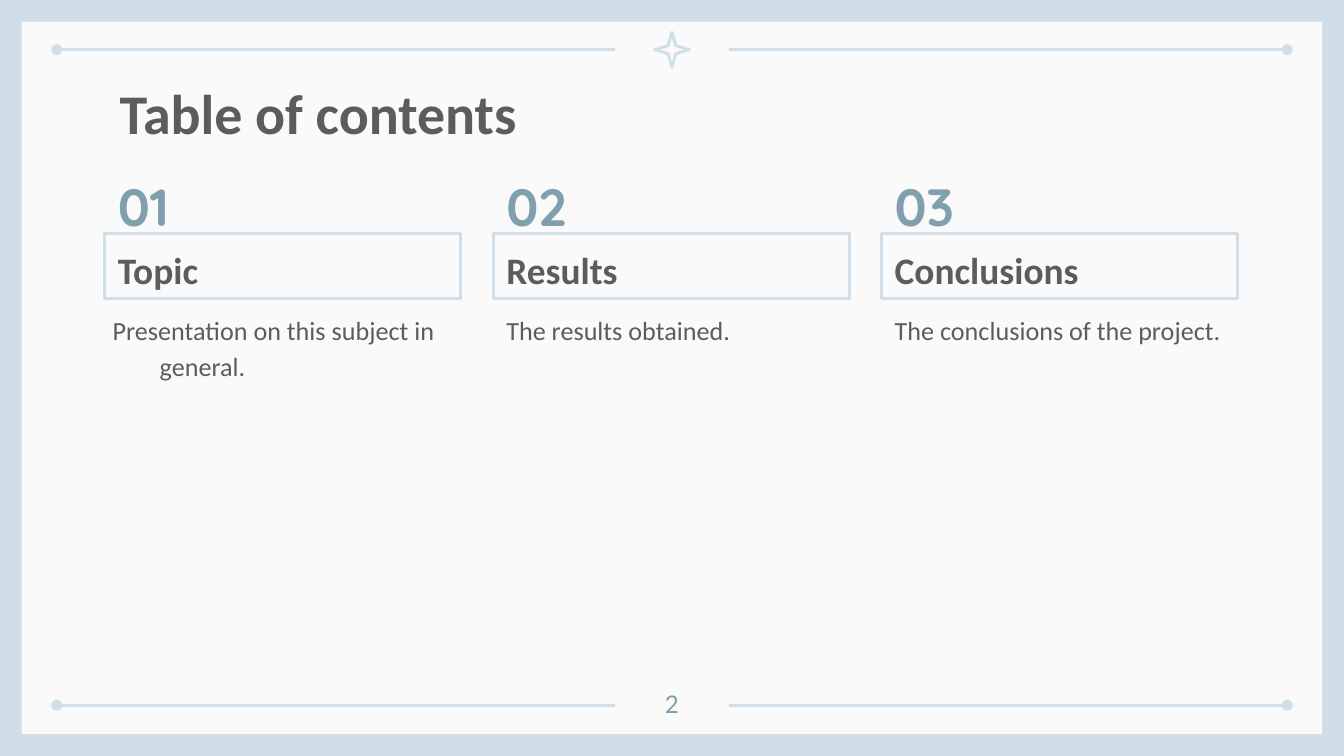
from lxml import etree
from pptx import Presentation
from pptx.dml.color import RGBColor
from pptx.enum.shapes import MSO_CONNECTOR, MSO_SHAPE
from pptx.enum.text import MSO_ANCHOR, MSO_AUTO_SIZE, PP_ALIGN
from pptx.oxml.ns import qn
from pptx.util import Cm, Pt

RECTANGLE, STAR = MSO_SHAPE.RECTANGLE, MSO_SHAPE.STAR_4_POINT
STRAIGHT = MSO_CONNECTOR.STRAIGHT
TOP, MIDDLE = MSO_ANCHOR.TOP, MSO_ANCHOR.MIDDLE
LEFT, CENTER = PP_ALIGN.LEFT, PP_ALIGN.CENTER
NO_FIT = MSO_AUTO_SIZE.NONE

COLOURS = {"frame": "CFDEE7", "paper": "FAFAFA", "text": "5C5C5F", "accent": "809FAF"}
WIDTH, HEIGHT = 25.4, 14.29
MARGIN = 0.41
LINE_WIDTH = Pt(1.5)

# Column grid
FIRST_LEFT, COLUMN_WIDTH, COLUMN_STEP = 1.98, 6.73, 7.34
SECTIONS = [
    ("01", "Topic", "Presentation on this subject in general."),
    ("02", "Results", "The results obtained."),
    ("03", "Conclusions", "The conclusions of the project."),
]


class SlideBuilder:
    def __init__(self, slide, font="Calibri"):
        self.slide = slide
        self.font = font

    def colour(self, name):
        return RGBColor.from_string(COLOURS[name])

    def background(self, name):
        fill = self.slide.background.fill
        fill.solid()
        fill.fore_color.rgb = self.colour(name)

    def set_text(self, box, text, size, colour="text", bold=False, font=None,
                 anchor=TOP, align=LEFT, spacing=1.15):
        frame = box.text_frame
        frame.text = text
        frame.word_wrap = True
        frame.auto_size = NO_FIT
        frame.vertical_anchor = anchor
        frame.margin_left = frame.margin_right = Cm(0.25)
        frame.margin_top = frame.margin_bottom = Cm(0.25)
        para = frame.paragraphs[0]
        para.alignment = align
        para.line_spacing = spacing
        for span in para.runs:
            span.font.name = font or self.font
            span.font.size = Pt(size)
            span.font.bold = bold
            span.font.color.rgb = self.colour(colour)

    def title(self, text, left, top, width, height):
        box = self.slide.shapes.title
        box.left, box.top, box.width, box.height = map(Cm, (left, top, width, height))
        self.set_text(box, text, 30, bold=True, spacing=1.0)

    def text(self, text, left, top, width, height, size, **style):
        box = self.slide.shapes.add_textbox(*map(Cm, (left, top, width, height)))
        self.set_text(box, text, size, **style)
        return box

    def shape(self, kind, left, top, width, height, fill=None, line=None):
        shape = self.slide.shapes.add_shape(kind, *map(Cm, (left, top, width, height)))
        shape.shadow.inherit = False
        if fill:
            shape.fill.solid()
            shape.fill.fore_color.rgb = self.colour(fill)
        else:
            shape.fill.background()
        if line:
            shape.line.color.rgb = self.colour(line)
            shape.line.width = LINE_WIDTH
        else:
            shape.line.fill.background()
        return shape

    def dotted_end_line(self, start, end, y):
        connector = self.slide.shapes.add_connector(STRAIGHT, Cm(start), Cm(y), Cm(end), Cm(y))
        connector.line.color.rgb = self.colour("frame")
        connector.line.width = LINE_WIDTH
        properties = connector._element.spPr
        etree.SubElement(properties.find(qn("a:ln")), qn("a:headEnd"), type="oval")
        etree.SubElement(properties, qn("a:effectLst"))

    def hanging_indent(self, box, left, first):
        properties = box.text_frame.paragraphs[0]._p.get_or_add_pPr()
        properties.set("marL", str(Cm(left)))
        properties.set("indent", str(Cm(first)))


def main():
    deck = Presentation()
    deck.slide_width, deck.slide_height = Cm(WIDTH), Cm(HEIGHT)
    page = SlideBuilder(deck.slides.add_slide(deck.slide_layouts[5]))

    # Frame with ornament lines, dots at the outer ends
    page.background("frame")
    page.shape(RECTANGLE, MARGIN, MARGIN, WIDTH - 2 * MARGIN, HEIGHT - 2 * MARGIN, fill="paper")
    for y in (0.94, 13.33):
        page.dotted_end_line(1.07, 11.63, y)
        page.dotted_end_line(WIDTH - 1.07, WIDTH - 11.63, y)
    star = page.shape(STAR, 12.37, 0.61, 0.66, 0.66, line="frame")
    star.adjustments[0] = 0.16

    # Heading
    page.title("Table of contents", 2.01, 1.24, 21.41, 1.6)
    # The paper is drawn after the placeholder, so bring the heading forward
    tree = page.slide.shapes.title._element.getparent()
    tree.append(page.slide.shapes.title._element)

    # Numbered sections
    for index, (number, heading, description) in enumerate(SECTIONS):
        left = FIRST_LEFT + index * COLUMN_STEP
        page.text(number, left, 3.18, 1.83, 1.22, 28, colour="accent", bold=True,
                  font="Quicksand", anchor=MIDDLE)
        box = page.shape(RECTANGLE, left, 4.42, COLUMN_WIDTH, 1.22, line="frame")
        page.set_text(box, heading, 20, bold=True, anchor=MIDDLE)
        if index == 0:
            # The first description reaches further left and hangs
            box = page.text(description, left - 0.48, 5.6, COLUMN_WIDTH + 0.48, 1.5, 14)
            page.hanging_indent(box, 1.27, -0.89)
        else:
            page.text(description, left, 5.6, COLUMN_WIDTH, 1.5, 14)

    # Page number
    page.text("2", 11.94, 12.78, 1.52, 0.91, 13, colour="accent", font="Lato",
              align=CENTER, spacing=1.0)

    deck.save("out.pptx")


if __name__ == "__main__":
    main()
